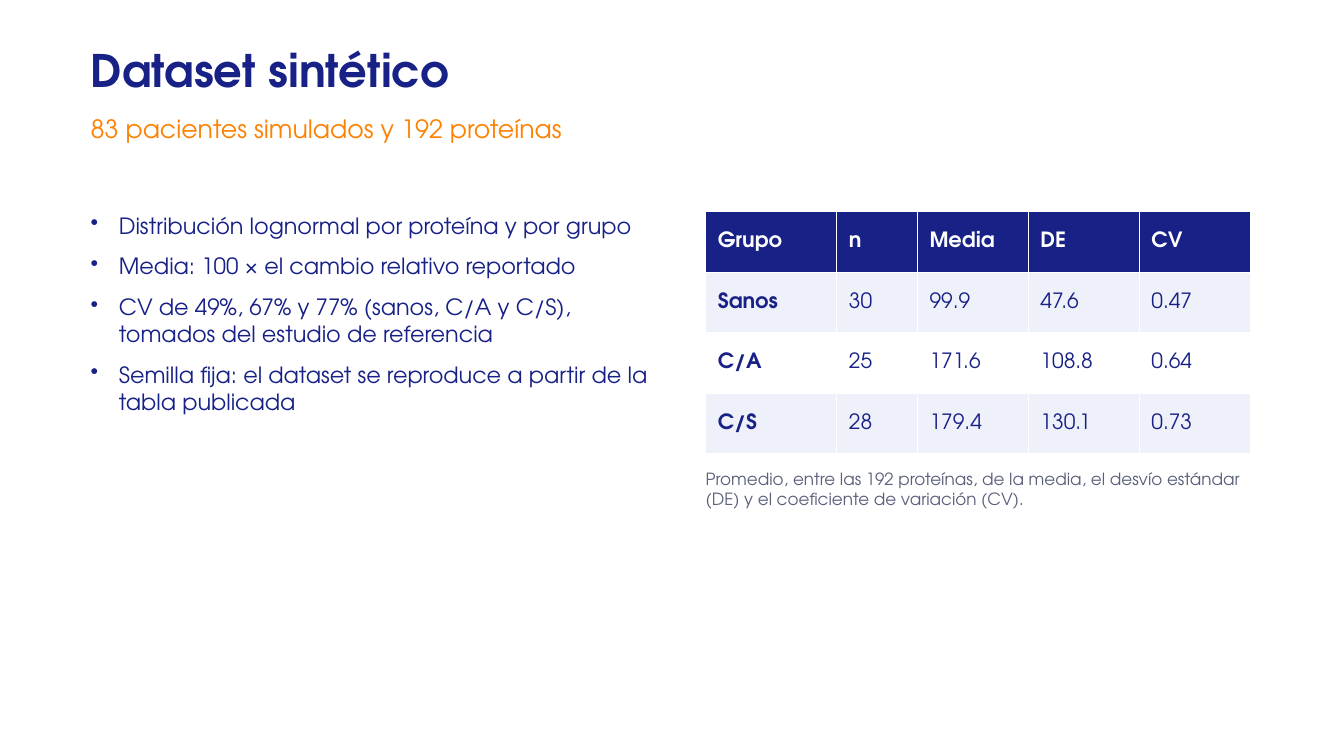
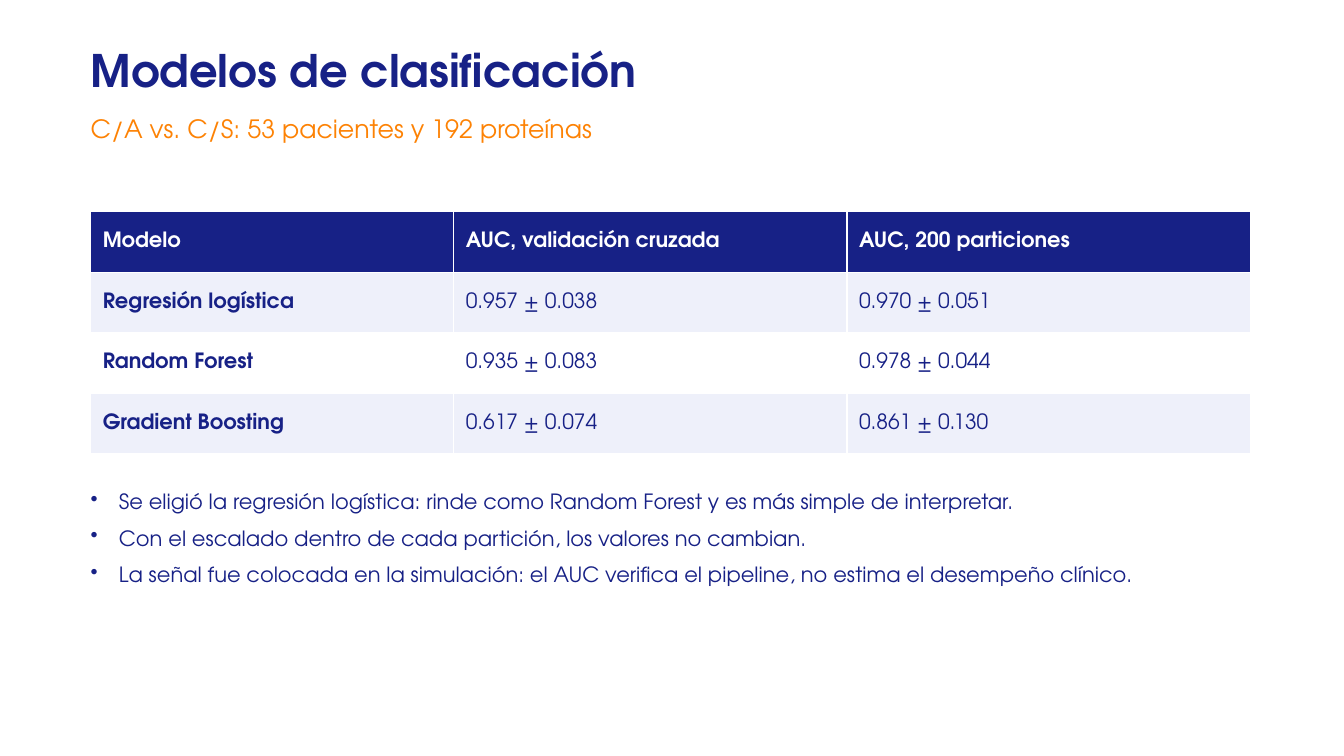
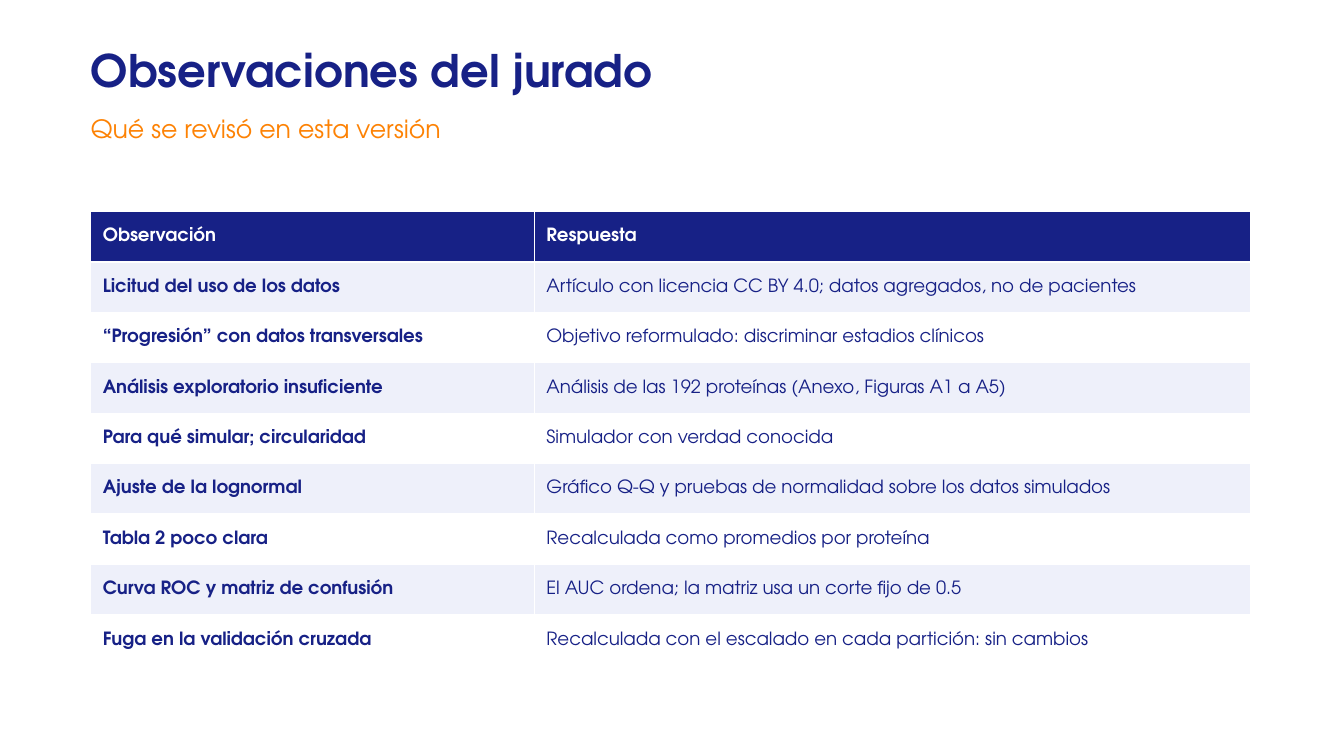
from lxml.etree import SubElement
from pptx import Presentation
from pptx.dml.color import RGBColor
from pptx.enum.text import MSO_ANCHOR as Anchor, MSO_AUTO_SIZE as AutoSize
from pptx.oxml.ns import qn
from pptx.util import Pt

PX = 9144
FONT = "TeX Gyre Adventor"
NAVY, ORANGE, GRAY = "172186", "FD8204", "5A5F7A"
WHITE, PALE = "FFFFFF", "EEF0FA"
LEFT, CONTENT_TOP, FULL_WIDTH = 90, 210, 1150
BULLET_INDENT = 28
hex_color = RGBColor.from_string


def style_runs(paragraph, size, color, bold=False):
    for run in paragraph.runs:
        run.font.name = FONT
        run.font.size = Pt(size)
        run.font.bold = bold
        run.font.color.rgb = hex_color(color)


def add_text(slide, box, lines, size, color=NAVY, bold=False, gap=6, bullets=False):
    shape = slide.shapes.add_textbox(*(value * PX for value in box))
    frame = shape.text_frame
    frame.word_wrap = True
    frame.auto_size = AutoSize.SHAPE_TO_FIT_TEXT
    frame.margin_left = frame.margin_right = frame.margin_top = frame.margin_bottom = 0
    frame.text = "\n".join(lines)
    for paragraph in frame.paragraphs:
        paragraph.space_after = Pt(gap)
        if bullets:
            properties = paragraph._p.get_or_add_pPr()
            properties.set("marL", str(BULLET_INDENT * PX))
            properties.set("indent", str(-BULLET_INDENT * PX))
            SubElement(properties, qn("a:buChar")).set("char", "•")
        style_runs(paragraph, size, color, bold)


SLIDES = [
    {
        "title": "Dataset sintético",
        "subtitle": "83 pacientes simulados y 192 proteínas",
        "table": {
            "left": 700, "columns": [130, 80, 110, 110, 110], "row_height": 60, "size": 15,
            "rows": [
                ["Grupo", "n", "Media", "DE", "CV"],
                ["Sanos", "30", "99.9", "47.6", "0.47"],
                ["C/A", "25", "171.6", "108.8", "0.64"],
                ["C/S", "28", "179.4", "130.1", "0.73"],
            ],
        },
        "texts": [
            {
                "box": (LEFT, CONTENT_TOP, 560, 380), "size": 16, "gap": 10, "bullets": True,
                "lines": [
                    "Distribución lognormal por proteína y por grupo",
                    "Media: 100 × el cambio relativo reportado",
                    "CV de 49%, 67% y 77% (sanos, C/A y C/S), tomados del estudio de referencia",
                    "Semilla fija: el dataset se reproduce a partir de la tabla publicada",
                ],
            },
            {
                "box": (700, 465, 540, 60), "size": 12, "color": GRAY,
                "lines": [
                    "Promedio, entre las 192 proteínas, de la media, el desvío estándar (DE) "
                    "y el coeficiente de variación (CV).",
                ],
            },
        ],
    },
    {
        "title": "Modelos de clasificación",
        "subtitle": "C/A vs. C/S: 53 pacientes y 192 proteínas",
        "table": {
            "left": LEFT, "columns": [360, 390, 400], "row_height": 60, "size": 15,
            "rows": [
                ["Modelo", "AUC, validación cruzada", "AUC, 200 particiones"],
                ["Regresión logística", "0.957 ± 0.038", "0.970 ± 0.051"],
                ["Random Forest", "0.935 ± 0.083", "0.978 ± 0.044"],
                ["Gradient Boosting", "0.617 ± 0.074", "0.861 ± 0.130"],
            ],
        },
        "texts": [
            {
                "box": (LEFT, 485, FULL_WIDTH, 190), "size": 15, "gap": 8, "bullets": True,
                "lines": [
                    "Se eligió la regresión logística: rinde como Random Forest y es más simple de interpretar.",
                    "Con el escalado dentro de cada partición, los valores no cambian.",
                    "La señal fue colocada en la simulación: el AUC verifica el pipeline, "
                    "no estima el desempeño clínico.",
                ],
            },
        ],
    },
    {
        "title": "Observaciones del jurado",
        "subtitle": "Qué se revisó en esta versión",
        "table": {
            "left": LEFT, "columns": [440, 710], "row_height": 50, "size": 13,
            "rows": [
                ["Observación", "Respuesta"],
                ["Licitud del uso de los datos",
                 "Artículo con licencia CC BY 4.0; datos agregados, no de pacientes"],
                ["“Progresión” con datos transversales",
                 "Objetivo reformulado: discriminar estadios clínicos"],
                ["Análisis exploratorio insuficiente",
                 "Análisis de las 192 proteínas (Anexo, Figuras A1 a A5)"],
                ["Para qué simular; circularidad", "Simulador con verdad conocida"],
                ["Ajuste de la lognormal",
                 "Gráfico Q-Q y pruebas de normalidad sobre los datos simulados"],
                ["Tabla 2 poco clara", "Recalculada como promedios por proteína"],
                ["Curva ROC y matriz de confusión",
                 "El AUC ordena; la matriz usa un corte fijo de 0.5"],
                ["Fuga en la validación cruzada",
                 "Recalculada con el escalado en cada partición: sin cambios"],
            ],
        },
        "texts": [],
    },
]

presentation = Presentation()
presentation.slide_width = 1333 * PX
presentation.slide_height = 750 * PX

for content in SLIDES:
    slide = presentation.slides.add_slide(presentation.slide_layouts[6])
    add_text(slide, (LEFT, 42, 1020, 70), [content["title"]], 32, bold=True)
    add_text(slide, (LEFT, 112, 1020, 45), [content["subtitle"]], 18, ORANGE)

    grid = content["table"]
    rows, columns = grid["rows"], grid["columns"]
    table = slide.shapes.add_table(
        len(rows), len(columns), grid["left"] * PX, CONTENT_TOP * PX,
        sum(columns) * PX, len(rows) * grid["row_height"] * PX,
    ).table
    for column, width in zip(table.columns, columns):
        column.width = width * PX
    for row_index, row in enumerate(rows):
        header = row_index == 0
        fill = NAVY if header else PALE if row_index % 2 else WHITE
        for column_index, text in enumerate(row):
            cell = table.cell(row_index, column_index)
            cell.fill.solid()
            cell.fill.fore_color.rgb = hex_color(fill)
            cell.vertical_anchor = Anchor.MIDDLE
            cell.margin_left = cell.margin_right = 12 * PX
            cell.margin_top = cell.margin_bottom = 4 * PX
            cell.text_frame.text = text
            style_runs(cell.text_frame.paragraphs[0], grid["size"],
                       WHITE if header else NAVY, header or column_index == 0)

    for text in content["texts"]:
        add_text(slide, **text)

presentation.save("out.pptx")
